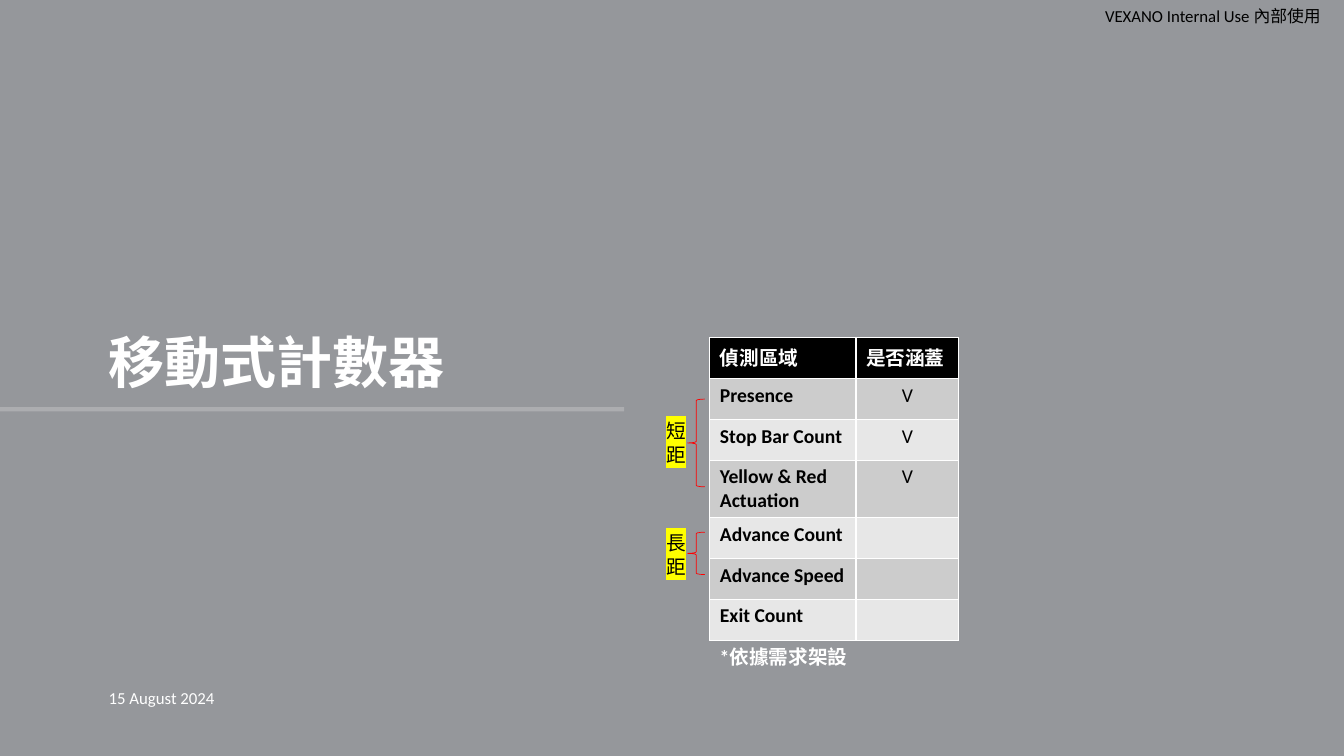
"""Build the title slide of the mobile counter with its detection zone table."""
from dataclasses import dataclass

from lxml import etree
from pptx import Presentation
from pptx.dml.color import RGBColor
from pptx.enum.shapes import MSO_CONNECTOR, MSO_SHAPE
from pptx.enum.text import MSO_ANCHOR, MSO_AUTO_SIZE, PP_ALIGN
from pptx.oxml.ns import qn
from pptx.util import Inches, Pt

LEFT, CENTER, RIGHT = PP_ALIGN.LEFT, PP_ALIGN.CENTER, PP_ALIGN.RIGHT
TOP, MIDDLE, BOTTOM = MSO_ANCHOR.TOP, MSO_ANCHOR.MIDDLE, MSO_ANCHOR.BOTTOM


@dataclass(frozen=True)
class Theme:
    latin: str = "Calibri"
    cjk: str = "Noto Sans CJK SC"
    background: str = "95979B"
    white: str = "FFFFFF"
    black: str = "000000"
    dark_band: str = "CCCCCC"
    light_band: str = "E7E7E7"
    highlight: str = "FFFF00"
    brace: str = "FF0000"
    title: int = 40
    body: int = 14
    small: int = 12


THEME = Theme()


def write_text(frame, text, size=THEME.body, color=THEME.white, bold=False,
               font=THEME.latin, align=LEFT, highlight=None):
    paragraph = frame.paragraphs[0]
    paragraph.alignment = align
    run = paragraph.add_run()
    run.text = text
    run.font.size = Pt(size)
    run.font.bold = bold
    run.font.color.rgb = RGBColor.from_string(color)
    properties = run.font._element
    if highlight:
        marker = etree.SubElement(properties, qn("a:highlight"))
        etree.SubElement(marker, qn("a:srgbClr"), val=highlight)
    run.font.name = font
    etree.SubElement(properties, qn("a:ea"), typeface=THEME.cjk)
    return paragraph


def add_text(slide, box, text, anchor=TOP, **style):
    frame = slide.shapes.add_textbox(*map(Inches, box)).text_frame
    frame.word_wrap = True
    frame.vertical_anchor = anchor
    write_text(frame, text, **style)
    return frame


presentation = Presentation()
presentation.slide_width = Inches(13.33)
presentation.slide_height = Inches(7.5)
slide = presentation.slides.add_slide(presentation.slide_layouts[5])
slide.background.fill.solid()
slide.background.fill.fore_color.rgb = RGBColor.from_string(THEME.background)

notice = add_text(slide, (10.83, 0, 2.51, 0.32), "VEXANO Internal Use 內部使用",
                  anchor=MIDDLE, size=THEME.small, color=THEME.black, align=RIGHT)
notice.margin_left = notice.margin_top = notice.margin_bottom = 0
notice.margin_right = Inches(0.24)

rule = slide.shapes.add_connector(MSO_CONNECTOR.STRAIGHT, Inches(-0.03), Inches(4.06),
                                  Inches(6.19), Inches(4.06))
rule.line.width = Pt(3)
rule.line.color.rgb = RGBColor.from_string(THEME.white)
rule_color = rule.line._ln.find(".//" + qn("a:srgbClr"))
etree.SubElement(rule_color, qn("a:alpha"), val="21000")
etree.SubElement(rule._element.spPr, qn("a:effectLst"))

add_text(slide, (0.98, 6.72, 3, 0.4), "15 August 2024", anchor=MIDDLE, size=THEME.small)

title = slide.shapes.title
title.left, title.top, title.width, title.height = map(Inches, (0.98, 2.07, 5.16, 1.91))
title.text_frame.auto_size = MSO_AUTO_SIZE.NONE
title.text_frame.word_wrap = True
title.text_frame.vertical_anchor = BOTTOM
heading = write_text(title.text_frame, "移動式計數器", size=THEME.title, bold=True,
                     font=THEME.cjk)
heading.line_spacing = 0.9

add_text(slide, (7.04, 6.35, 2.47, 0.34), "*依據需求架設", bold=True)

ZONES = [
    ("偵測區域", "是否涵蓋"),
    ("Presence", "V"),
    ("Stop Bar Count", "V"),
    ("Yellow & Red Actuation", "V"),
    ("Advance Count", ""),
    ("Advance Speed", ""),
    ("Exit Count", ""),
]
table = slide.shapes.add_table(len(ZONES), 2, Inches(7.04), Inches(3.35),
                               Inches(2.47), Inches(2.84)).table
table.horz_banding = False
table.columns[0].width = Inches(1.45)
table.columns[1].width = Inches(1.02)
for row, zone in enumerate(ZONES):
    header = row == 0
    band = THEME.dark_band if row % 2 else THEME.light_band
    for column, text in enumerate(zone):
        cell = table.cell(row, column)
        cell.fill.solid()
        cell.fill.fore_color.rgb = RGBColor.from_string(THEME.black if header else band)
        if text:
            write_text(cell.text_frame, text, bold=header or column == 0,
                       color=THEME.white if header else THEME.black,
                       align=LEFT if header or column == 0 else CENTER)

for label, label_top, brace_top, brace_height in [("短距", 4.11, 3.96, 0.87),
                                                  ("長距", 5.22, 5.28, 0.42)]:
    add_text(slide, (6.51, label_top, 0.4, 0.57), label, color=THEME.black,
             highlight=THEME.highlight)
    brace = slide.shapes.add_shape(MSO_SHAPE.LEFT_BRACE, Inches(6.82), Inches(brace_top),
                                   Inches(0.17), Inches(brace_height))
    brace.shadow.inherit = False
    brace.fill.background()
    brace.line.color.rgb = RGBColor.from_string(THEME.brace)
    brace.line.width = Pt(0.5)

presentation.save("out.pptx")
